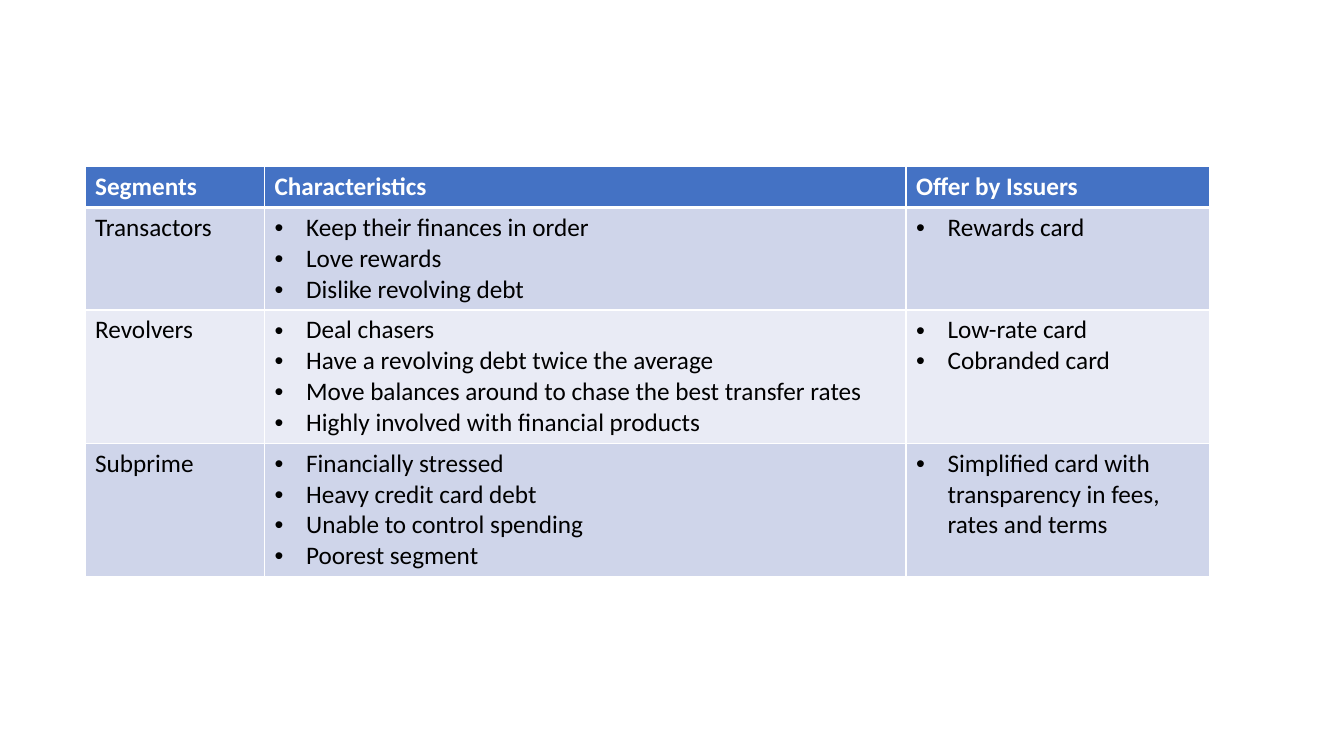
from lxml import etree
from pptx import Presentation
from pptx import util as u
from pptx.dml import color
from pptx.oxml import ns

COLORS = {
    "header": "4472C4",
    "odd_row": "CFD5EA",
    "even_row": "E9EBF5",
    "light": "FFFFFF",
    "dark": "000000",
}
HEADINGS = ["Segments", "Characteristics", "Offer by Issuers"]
SEGMENTS = [
    (
        "Transactors",
        ["Keep their finances in order", "Love rewards", "Dislike revolving debt"],
        ["Rewards card"],
    ),
    (
        "Revolvers",
        [
            "Deal chasers",
            "Have a revolving debt twice the average",
            "Move balances around to chase the best transfer rates",
            "Highly involved with financial products",
        ],
        ["Low-rate card", "Cobranded card"],
    ),
    (
        "Subprime",
        [
            "Financially stressed",
            "Heavy credit card debt",
            "Unable to control spending",
            "Poorest segment",
        ],
        ["Simplified card with transparency in fees, rates and terms"],
    ),
]
COLUMN_WIDTHS = [128.2, 458.2, 217]
LINE_HEIGHT = 22
CELL_PADDING = 7.2


class SlideBuilder:
    """Hold the text style and the current slide, and add elements to it."""

    def __init__(self, slide, font="Calibri", size=18, indent=22.5):
        self.slide = slide
        self.font = font
        self.size = size
        self.indent = indent

    def table(self, left, top, widths, heights):
        frame = self.slide.shapes.add_table(
            len(heights), len(widths), u.Pt(left), u.Pt(top),
            u.Pt(sum(widths)), u.Pt(sum(heights)),
        )
        for column, width in zip(frame.table.columns, widths):
            column.width = u.Pt(width)
        for row, height in zip(frame.table.rows, heights):
            row.height = u.Pt(height)
        return frame.table

    def cell(self, cell, lines, fill, text_color, bold=False, bulleted=False, top=1, bottom=1):
        cell.fill.solid()
        cell.fill.fore_color.rgb = color.RGBColor.from_string(COLORS[fill])
        self.borders(cell, {"lnL": 1, "lnR": 1, "lnT": top, "lnB": bottom})
        cell.text_frame.text = "\n".join(lines)
        for paragraph in cell.text_frame.paragraphs:
            paragraph.font.name = self.font
            paragraph.font.size = u.Pt(self.size)
            paragraph.font.bold = bold
            paragraph.font.color.rgb = color.RGBColor.from_string(COLORS[text_color])
            if bulleted:
                self.bullet(paragraph)

    def borders(self, cell, widths):
        properties = cell._tc.get_or_add_tcPr()
        for position, (side, width) in enumerate(widths.items()):
            line = etree.Element(ns.qn(f"a:{side}"), w=str(u.Pt(width)))
            solid = etree.SubElement(line, ns.qn("a:solidFill"))
            etree.SubElement(solid, ns.qn("a:srgbClr"), val=COLORS["light"])
            properties.insert(position, line)

    def bullet(self, paragraph):
        properties = paragraph._p.get_or_add_pPr()
        properties.set("marL", str(u.Pt(self.indent)))
        properties.set("indent", str(-u.Pt(self.indent)))
        font = etree.Element(ns.qn("a:buFont"), typeface="Arial")
        character = etree.Element(ns.qn("a:buChar"), char="•")
        properties.insert(0, font)
        properties.insert(1, character)


def main():
    presentation = Presentation()
    presentation.slide_width = u.Pt(960)
    presentation.slide_height = u.Pt(540)
    builder = SlideBuilder(presentation.slides.add_slide(presentation.slide_layouts[6]))

    line_counts = [1] + [len(characteristics) for _, characteristics, _ in SEGMENTS]
    heights = [count * LINE_HEIGHT + CELL_PADDING for count in line_counts]
    table = builder.table(60.8, 119, COLUMN_WIDTHS, heights)

    for column, heading in enumerate(HEADINGS):
        builder.cell(table.cell(0, column), [heading], "header", "light", bold=True, bottom=3)
    for row, (name, characteristics, offers) in enumerate(SEGMENTS, start=1):
        fill = "odd_row" if row % 2 else "even_row"
        top = 3 if row == 1 else 1
        for column, lines in enumerate([[name], characteristics, offers]):
            builder.cell(table.cell(row, column), lines, fill, "dark", bulleted=column > 0, top=top)

    presentation.save("out.pptx")


if __name__ == "__main__":
    main()
